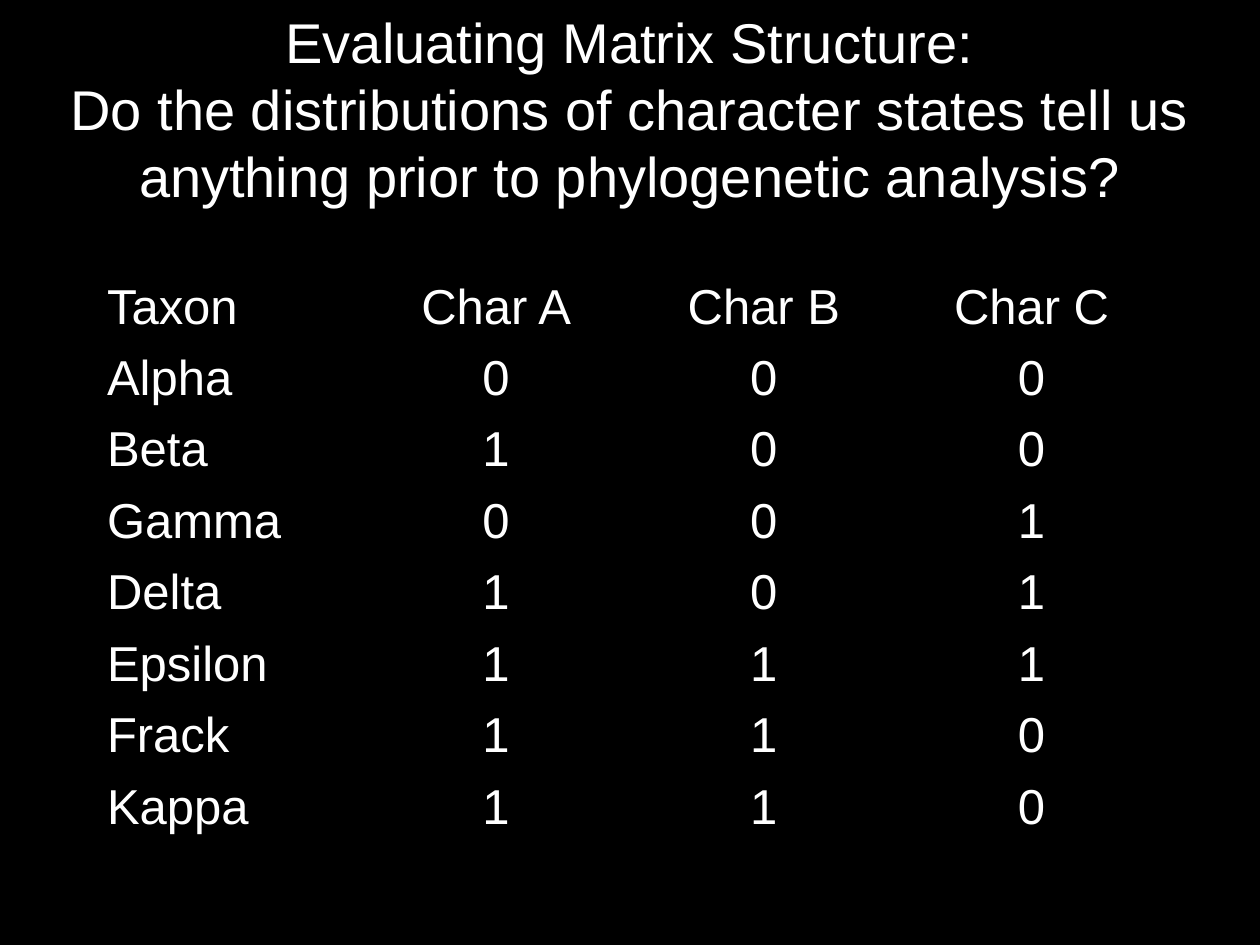
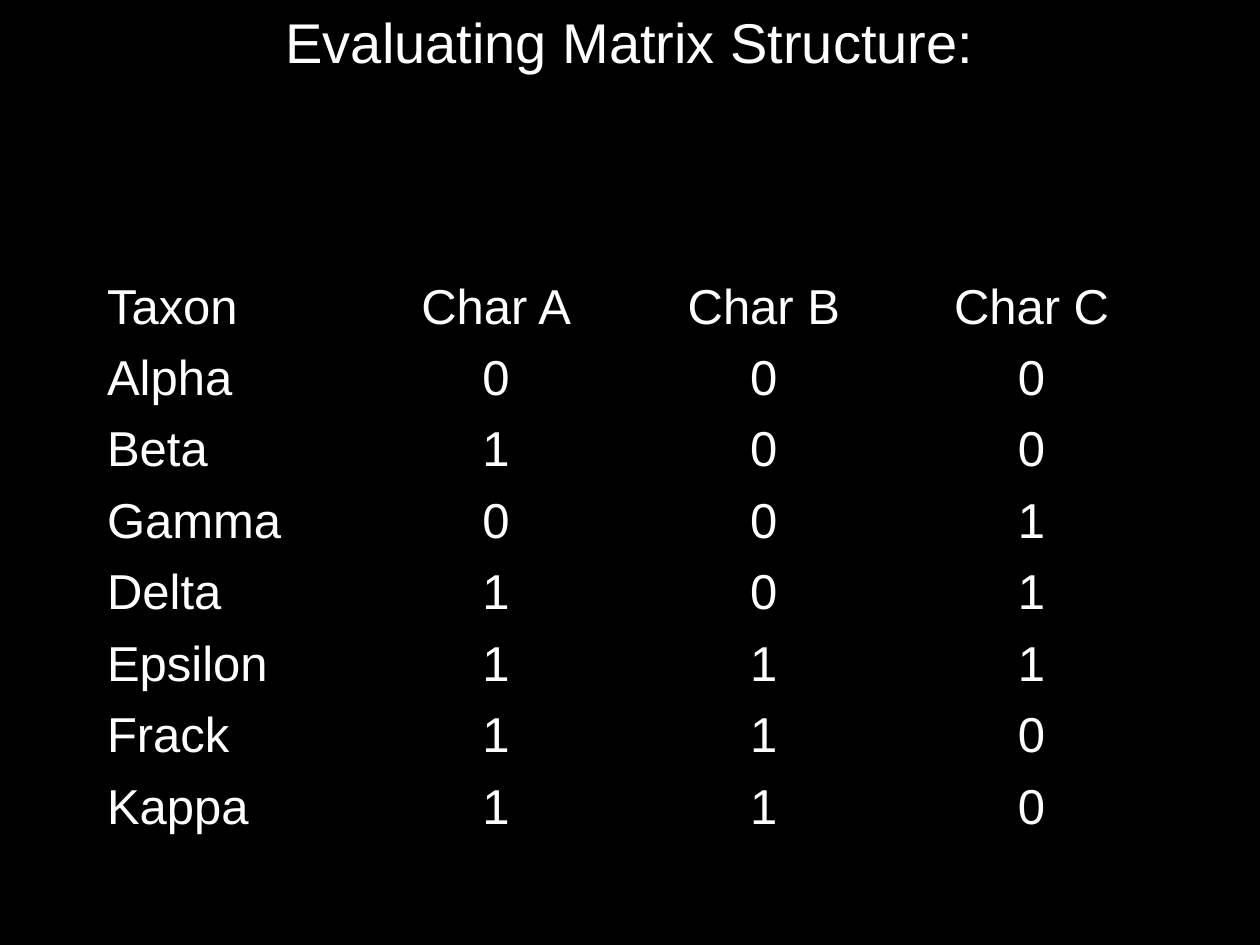
from dataclasses import dataclass

from lxml.etree import SubElement
from pptx import Presentation
from pptx.dml.color import RGBColor
from pptx.enum.text import MSO_ANCHOR, PP_ALIGN
from pptx.oxml.ns import qn
from pptx.slide import Slide
from pptx.table import _Cell as Cell
from pptx.text.text import _Paragraph as Paragraph
from pptx.util import Length, Pt


@dataclass(frozen=True)
class Theme:
    font: str = "Arial"
    background: RGBColor = RGBColor(0, 0, 0)
    text: RGBColor = RGBColor(255, 255, 255)
    border: RGBColor = RGBColor(0, 0, 0)
    title_size: Length = Pt(32)
    title_leading: Length = Pt(38.3)
    table_size: Length = Pt(28)
    outer_line: Length = Pt(1.08)
    inner_line: Length = Pt(0.45)


@dataclass(frozen=True)
class Box:
    left: Length
    top: Length
    width: Length
    height: Length


THEME = Theme()
SLIDE_W, SLIDE_H = Pt(720), Pt(540)
TITLE_BOX = Box(Pt(0), Pt(4.5), SLIDE_W, Pt(108))
MATRIX_BOX = Box(Pt(54), Pt(156.24), Pt(612), Pt(326.16))

HEADING = "Evaluating Matrix Structure:"
QUESTION = ("Do the distributions of character states tell us "
            "anything prior to phylogenetic analysis?")
TITLES = [(HEADING, QUESTION), (HEADING,)]

MATRIX = [
    ("Taxon", "Char A", "Char B", "Char C"),
    ("Alpha", "0", "0", "0"),
    ("Beta", "1", "0", "0"),
    ("Gamma", "0", "0", "1"),
    ("Delta", "1", "0", "1"),
    ("Epsilon", "1", "1", "1"),
    ("Frack", "1", "1", "0"),
    ("Kappa", "1", "1", "0"),
]


def add_run(p: Paragraph, text: str, size: Length) -> None:
    r = p.add_run()
    r.text = text
    r.font.name = THEME.font
    r.font.size = size
    r.font.color.rgb = THEME.text


def add_title(s: Slide, lines: tuple[str, ...]) -> None:
    box = TITLE_BOX
    tf = s.shapes.add_textbox(box.left, box.top, box.width, box.height).text_frame
    tf.word_wrap = True
    tf.vertical_anchor = MSO_ANCHOR.TOP
    tf.margin_top = 0
    p = tf.paragraphs[0]
    p.alignment = PP_ALIGN.CENTER
    p.line_spacing = THEME.title_leading
    for i, line in enumerate(lines):
        if i:
            p.add_line_break()
        add_run(p, line, THEME.title_size)


def set_borders(cell: Cell, outer_sides: dict[str, bool]) -> None:
    """Draw each side of the cell, heavier where it is a table edge."""
    tc_pr = cell._tc.get_or_add_tcPr()
    for side, is_outer in outer_sides.items():
        width = THEME.outer_line if is_outer else THEME.inner_line
        ln = SubElement(tc_pr, qn(f"a:ln{side}"), w=str(int(width)))
        fill = SubElement(ln, qn("a:solidFill"))
        SubElement(fill, qn("a:srgbClr"), val=str(THEME.border))


def add_matrix(s: Slide) -> None:
    box = MATRIX_BOX
    n_rows, n_cols = len(MATRIX), len(MATRIX[0])
    table = s.shapes.add_table(n_rows, n_cols, box.left, box.top,
                               box.width, box.height).table
    table.first_row = False
    table.horz_banding = False
    for i, row in enumerate(MATRIX):
        for j, value in enumerate(row):
            cell = table.cell(i, j)
            set_borders(cell, {"L": j == 0, "R": j == n_cols - 1,
                               "T": i == 0, "B": i == n_rows - 1})
            cell.fill.background()
            p = cell.text_frame.paragraphs[0]
            p.alignment = PP_ALIGN.CENTER if j else PP_ALIGN.LEFT
            add_run(p, value, THEME.table_size)


def main() -> None:
    prs = Presentation()
    prs.slide_width, prs.slide_height = SLIDE_W, SLIDE_H
    for lines in TITLES:
        s = prs.slides.add_slide(prs.slide_layouts[6])
        s.background.fill.solid()
        s.background.fill.fore_color.rgb = THEME.background
        add_title(s, lines)
        add_matrix(s)
    prs.save("out.pptx")


if __name__ == "__main__":
    main()
